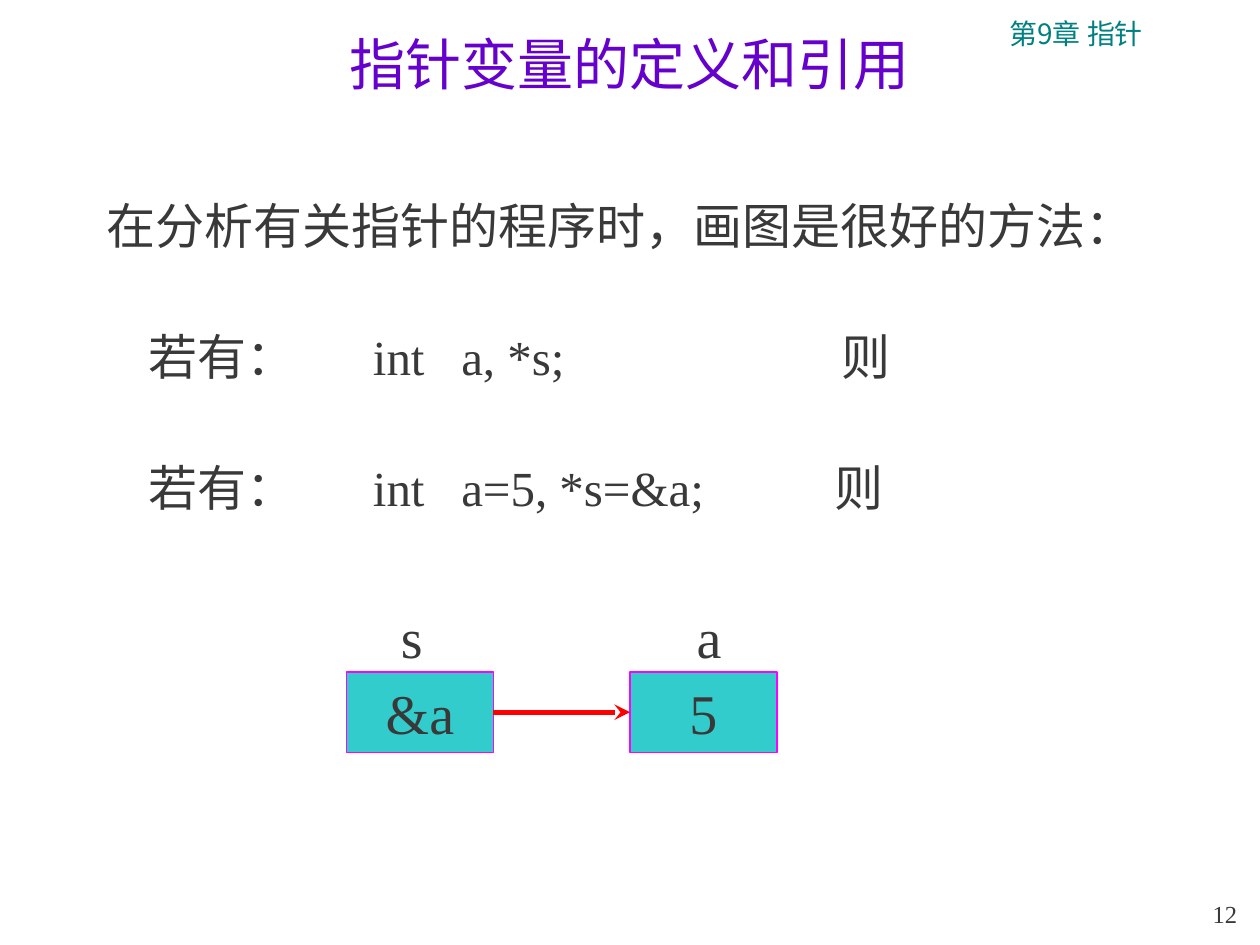
from dataclasses import dataclass

from lxml import etree
from pptx import Presentation
from pptx.dml.color import RGBColor
from pptx.enum.shapes import MSO_CONNECTOR, MSO_SHAPE
from pptx.enum.text import MSO_ANCHOR, PP_ALIGN
from pptx.oxml.ns import qn
from pptx.util import Pt

LEFT, CENTER, RIGHT = PP_ALIGN.LEFT, PP_ALIGN.CENTER, PP_ALIGN.RIGHT
TOP, MIDDLE, BOTTOM = MSO_ANCHOR.TOP, MSO_ANCHOR.MIDDLE, MSO_ANCHOR.BOTTOM
RECTANGLE = MSO_SHAPE.RECTANGLE
STRAIGHT = MSO_CONNECTOR.STRAIGHT
RIGHT_SIDE, LEFT_SIDE = 3, 1


@dataclass(frozen=True)
class Theme:
    serif: str = "Times New Roman"
    sans: str = "Noto Sans CJK JP"
    ink: str = "393939"
    title: str = "6600CC"
    chapter: str = "008080"
    cell_fill: str = "33CCCC"
    cell_line: str = "FF00FF"
    arrow: str = "FF0000"
    large: int = 32
    body: int = 28
    small: int = 16
    page: int = 14


THEME = Theme()


@dataclass(frozen=True)
class Frame:
    left: float
    top: float
    width: float
    height: float

    def lengths(self) -> tuple:
        return Pt(self.left), Pt(self.top), Pt(self.width), Pt(self.height)


@dataclass(frozen=True)
class Label:
    text: str
    frame: Frame
    size: int = THEME.body
    color: str = THEME.ink
    font: str = THEME.serif
    align: PP_ALIGN = LEFT
    anchor: MSO_ANCHOR = TOP
    tabs: tuple = ()


@dataclass(frozen=True)
class Variable:
    name: str
    value: str
    left: float
    name_left: float


TITLE = Label("指针变量的定义和引用", Frame(66, 6, 588, 60), THEME.large,
              THEME.title, align=CENTER, anchor=MIDDLE)
LABELS = (
    Label("第9章 指针", Frame(516, 6, 198, 27), THEME.small, THEME.chapter,
          THEME.sans, CENTER),
    Label("12", Frame(672, 510, 42, 24), THEME.page, align=RIGHT, anchor=BOTTOM),
    Label("在分析有关指针的程序时，画图是很好的方法：", Frame(54, 108, 606, 41)),
    Label("若有：\tint\ta, *s;\t则", Frame(78, 183, 564, 41), tabs=(128, 178.5, 396)),
    Label("若有：\tint\ta=5, *s=&a;\t则", Frame(78, 258, 564, 41),
          tabs=(128, 178.5, 392)),
)
POINTER = Variable("s", "&a", 198, 222)
TARGET = Variable("a", "5", 360, 391)


def write_text(box, label: Label) -> None:
    frame = box.text_frame
    frame.text = label.text
    frame.word_wrap = True
    frame.vertical_anchor = label.anchor
    para = frame.paragraphs[0]
    para.alignment = label.align
    if label.tabs:
        tab_list = etree.SubElement(para._p.get_or_add_pPr(), qn("a:tabLst"))
        for position in label.tabs:
            etree.SubElement(tab_list, qn("a:tab"), pos=str(Pt(position)), algn="l")
    for span in para.runs:
        span.font.name = label.font
        span.font.size = Pt(label.size)
        span.font.color.rgb = RGBColor.from_string(label.color)
        etree.SubElement(span._r.get_or_add_rPr(), qn("a:ea"), typeface=THEME.sans)


def add_label(page, label: Label) -> None:
    write_text(page.shapes.add_textbox(*label.frame.lengths()), label)


def add_variable(page, variable: Variable):
    add_label(page, Label(variable.name, Frame(variable.name_left, 341, 36, 46),
                          THEME.large))
    frame = Frame(variable.left, 384, 84, 46)
    box = page.shapes.add_shape(RECTANGLE, *frame.lengths())
    box.shadow.inherit = False
    box.fill.solid()
    box.fill.fore_color.rgb = RGBColor.from_string(THEME.cell_fill)
    box.line.color.rgb = RGBColor.from_string(THEME.cell_line)
    box.line.width = Pt(1)
    write_text(box, Label(variable.value, frame, THEME.large, align=CENTER))
    return box


def add_arrow(page, start, end) -> None:
    arrow = page.shapes.add_connector(STRAIGHT, 0, 0, 0, 0)
    arrow.begin_connect(start, RIGHT_SIDE)
    arrow.end_connect(end, LEFT_SIDE)
    arrow.line.color.rgb = RGBColor.from_string(THEME.arrow)
    arrow.line.width = Pt(3)
    etree.SubElement(arrow.line._get_or_add_ln(), qn("a:tailEnd"), type="stealth")
    etree.SubElement(arrow._element.spPr, qn("a:effectLst"))


def main() -> None:
    deck = Presentation()
    deck.slide_width, deck.slide_height = Pt(720), Pt(540)
    page = deck.slides.add_slide(deck.slide_layouts[5])
    title = page.shapes.title
    title.left, title.top, title.width, title.height = TITLE.frame.lengths()
    write_text(title, TITLE)
    for label in LABELS:
        add_label(page, label)
    pointer_box = add_variable(page, POINTER)
    target_box = add_variable(page, TARGET)
    add_arrow(page, pointer_box, target_box)
    deck.save("out.pptx")


if __name__ == "__main__":
    main()
